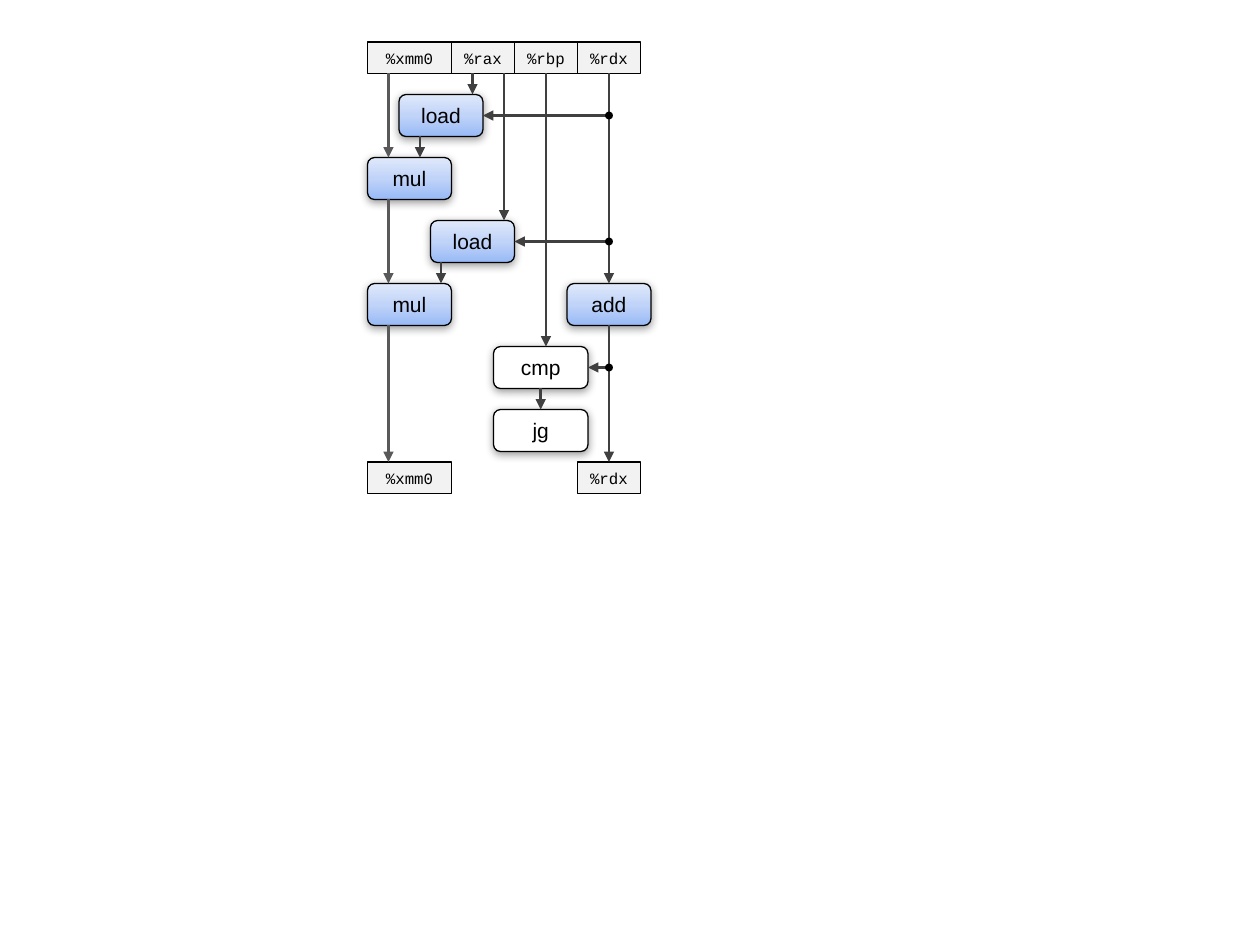
import copy
from dataclasses import dataclass

import pptx
import pptx.util
import pptx.dml.color
import pptx.enum.shapes
import pptx.enum.text
import pptx.oxml.ns
from lxml import etree

SHAPE = pptx.enum.shapes.MSO_SHAPE
EMU = 9525  # one px at 96 px to the inch


@dataclass(frozen=True)
class Theme:
    ink: str = "000000"
    paper: str = "FFFFFF"
    cell: str = "F2F2F2"
    blue: tuple = ("98BAF6", "C0D3F8", "E0E9FB")
    wire: str = "404040"
    pale: str = "595959"
    sans: str = "Arial"
    mono: str = "Courier New"
    op_size: int = 12
    reg_size: int = 9


THEME = Theme()

# Registers: name, left, top, width
REGS = [
    ("%xmm0", 280, 32, 64), ("%rax", 344, 32, 48),
    ("%rbp", 392, 32, 48), ("%rdx", 440, 32, 48),
    ("%xmm0", 280, 352, 64), ("%rdx", 440, 352, 48),
]
REG_H = 24

# Operations: name, left, row, width, fill
OPS = [
    ("load", 304, 0, 64, THEME.blue), ("mul", 280, 1, 64, THEME.blue),
    ("load", 328, 2, 64, THEME.blue), ("mul", 280, 3, 64, THEME.blue),
    ("add", 432, 3, 64, THEME.blue),
    ("cmp", 376, 4, 72, THEME.paper), ("jg", 376, 5, 72, THEME.paper),
]
OP_TOP, OP_H, OP_STEP = 72, 32, 48

# Downward arrows: x, start y, end y, colour
DOWN = [
    (296, 56, 120, THEME.pale), (296, 152, 216, THEME.pale),
    (296, 248, 352, THEME.pale),
    (320, 104, 120, THEME.wire), (336, 200, 216, THEME.wire),
    (360, 56, 72, THEME.wire), (384, 56, 168, THEME.wire),
    (416, 56, 264, THEME.wire), (412, 296, 312, THEME.wire),
    (464, 56, 216, THEME.wire), (464, 248, 352, THEME.wire),
]

# Branches from the %rdx line: y, end x
BUS_X = 464
TAPS = [(88, 368), (184, 392), (280, 448)]
DOT = 6


def px(num):
    return pptx.util.Emu(round(num * EMU))


def rgb(code):
    return pptx.dml.color.RGBColor.from_string(code)


def add_xml(node, tag, **attrs):
    return etree.SubElement(node, pptx.oxml.ns.qn(tag), attrs)


def put_text(shape, text, *, font, size, color=THEME.ink):
    frame = shape.text_frame
    frame.word_wrap = True
    frame.vertical_anchor = pptx.enum.text.MSO_ANCHOR.MIDDLE
    frame.margin_left = frame.margin_right = 0
    frame.margin_top = frame.margin_bottom = 0
    para = frame.paragraphs[0]
    para.alignment = pptx.enum.text.PP_ALIGN.CENTER
    run = para.add_run()
    run.text = text
    run.font.name = font
    run.font.size = pptx.util.Pt(size)
    run.font.color.rgb = rgb(color)


def paint(shape, fill):
    """Fill with one colour, or with three colours from bottom to top."""
    if isinstance(fill, str):
        shape.fill.solid()
        shape.fill.fore_color.rgb = rgb(fill)
        return
    shape.fill.gradient()
    shape.fill.gradient_angle = 90
    stops = shape._element.spPr.find(".//" + pptx.oxml.ns.qn("a:gsLst"))
    stops.insert(1, copy.deepcopy(stops[0]))
    for i, stop in enumerate(shape.fill.gradient_stops):
        stop.position = i / 2
        stop.color.rgb = rgb(fill[i])


def add_shade(shape):
    effects = shape._element.spPr.find(pptx.oxml.ns.qn("a:effectLst"))
    shade = add_xml(effects, "a:outerShdw", blurRad=str(pptx.util.Pt(5)),
                    dist=str(pptx.util.Pt(1.6)), dir="5400000", rotWithShape="0")
    color = add_xml(shade, "a:srgbClr", val=THEME.ink)
    add_xml(color, "a:alpha", val="38000")


def add_box(slide, kind, x, y, w, h, fill, width):
    box = slide.shapes.add_shape(kind, px(x), px(y), px(w), px(h))
    box.shadow.inherit = False
    paint(box, fill)
    if width:
        box.line.color.rgb = rgb(THEME.ink)
        box.line.width = pptx.util.Pt(width)
    else:
        box.line.fill.background()
    return box


def note_ports(ports, box, x, y, w, h):
    """Record the middle of each side, by connection site."""
    mids = [(x + w // 2, y), (x, y + h // 2), (x + w // 2, y + h), (x + w, y + h // 2)]
    for site, mid in enumerate(mids):
        ports[mid] = (box, site)


def add_reg(slide, ports, name, x, y, w):
    box = add_box(slide, SHAPE.RECTANGLE, x, y, w, REG_H, THEME.cell, 1)
    put_text(box, name, font=THEME.mono, size=THEME.reg_size)
    note_ports(ports, box, x, y, w, REG_H)


def add_op(slide, ports, name, x, row, w, fill):
    y = OP_TOP + row * OP_STEP
    box = add_box(slide, SHAPE.ROUNDED_RECTANGLE, x, y, w, OP_H, fill, 0.75)
    add_shade(box)
    put_text(box, name, font=THEME.sans, size=THEME.op_size)
    note_ports(ports, box, x, y, w, OP_H)


def add_arrow(slide, ports, start, end, color):
    line = slide.shapes.add_connector(
        pptx.enum.shapes.MSO_CONNECTOR.STRAIGHT, *map(px, start + end))
    if start in ports:
        line.begin_connect(*ports[start])
    if end in ports:
        line.end_connect(*ports[end])
    line.line.color.rgb = rgb(color)
    line.line.width = pptx.util.Pt(1.5)
    add_xml(line.line._get_or_add_ln(), "a:tailEnd", type="triangle")
    add_xml(line._element.spPr, "a:effectLst")


def add_dot(slide, x, y):
    add_box(slide, SHAPE.OVAL, x - DOT / 2, y - DOT / 2, DOT, DOT, THEME.ink, 0)


def main():
    deck = pptx.Presentation()
    deck.slide_width, deck.slide_height = px(960), px(720)
    slide = deck.slides.add_slide(deck.slide_layouts[6])
    ports = {}

    # Registers and operations
    for reg in REGS:
        add_reg(slide, ports, *reg)
    for op in OPS:
        add_op(slide, ports, *op)

    # Data flow
    for x, top, low, color in DOWN:
        add_arrow(slide, ports, (x, top), (x, low), color)
    for y, x in TAPS:
        add_arrow(slide, ports, (BUS_X, y), (x, y), THEME.wire)
        add_dot(slide, BUS_X, y)

    deck.save("out.pptx")


if __name__ == "__main__":
    main()
